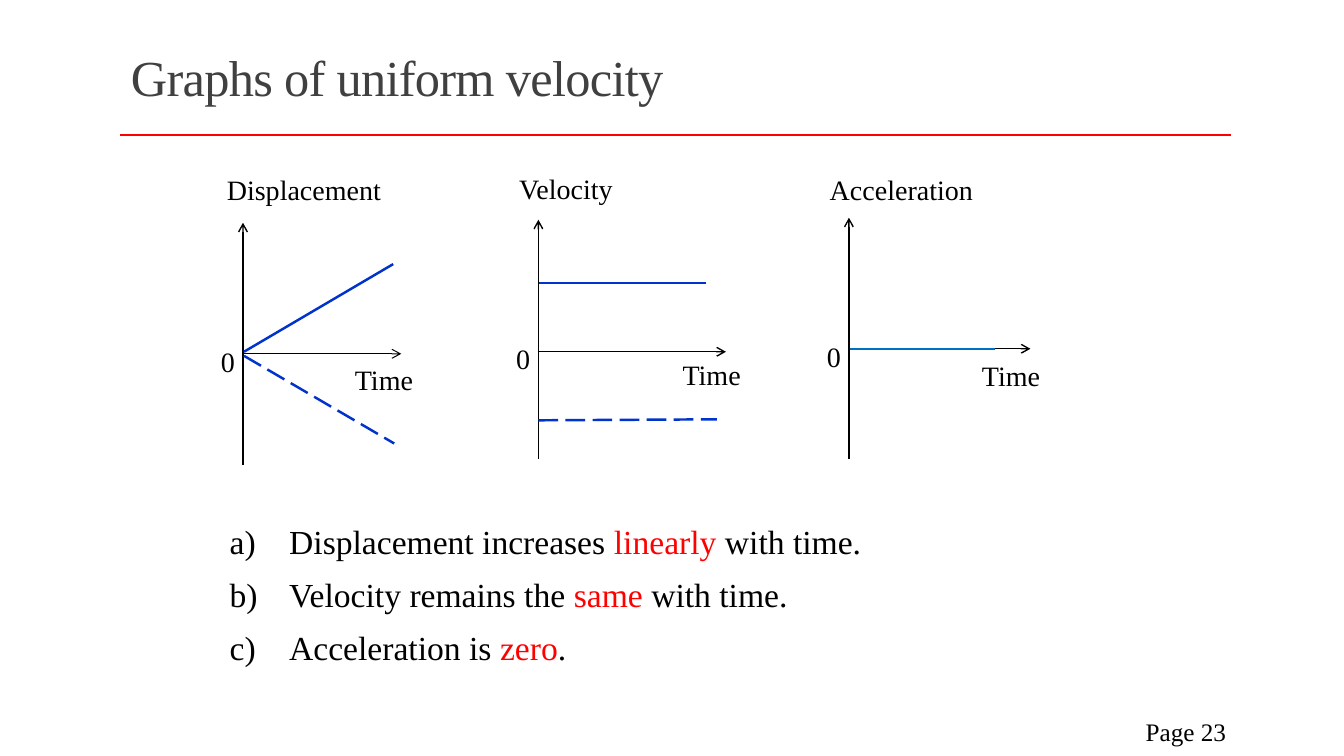
from pptx import Presentation
from pptx.dml.color import RGBColor
from pptx.enum import dml, shapes, text
from pptx.oxml.ns import qn
from pptx.util import Inches, Pt
from lxml import etree

BLACK = RGBColor(0x00, 0x00, 0x00)
WHITE = RGBColor(0xFF, 0xFF, 0xFF)
GREY = RGBColor(0x40, 0x40, 0x40)
RED = RGBColor(0xFF, 0x00, 0x00)
BLUE = RGBColor(0x00, 0x33, 0xCC)
LIGHT_BLUE = RGBColor(0x00, 0x70, 0xC0)
FONT = "Times New Roman"
HANGING = Inches(0.59)


def add_span(para, words, size, color=BLACK):
    span = para.add_run()
    span.text = words
    span.font.name = FONT
    span.font.size = Pt(size)
    span.font.color.rgb = color
    return span


def add_box(page, box, margin=None, anchor=text.MSO_ANCHOR.TOP):
    shape = page.shapes.add_textbox(*[Inches(length) for length in box])
    frame = shape.text_frame
    frame.word_wrap = True
    frame.vertical_anchor = anchor
    if margin is not None:
        frame.margin_left = frame.margin_right = Inches(margin)
        frame.margin_top = frame.margin_bottom = Inches(margin)
    return shape


def add_line(page, start, end, color=BLACK, width=1, dashed=False, arrow=False):
    line = page.shapes.add_connector(
        shapes.MSO_CONNECTOR.STRAIGHT, *[Inches(length) for length in (*start, *end)])
    line.line.color.rgb = color
    line.line.width = Pt(width)
    if dashed:
        line.line.dash_style = dml.MSO_LINE.LONG_DASH
    if arrow:
        etree.SubElement(line.line._get_or_add_ln(), qn("a:tailEnd"), type="arrow")
    etree.SubElement(line._element.spPr, qn("a:effectLst"))


def add_heading(page, box):
    left, top, width, height = box
    shape = add_box(page, box, anchor=text.MSO_ANCHOR.MIDDLE)
    para = shape.text_frame.paragraphs[0]
    para.line_spacing = 0.85
    span = add_span(para, "Graphs of uniform velocity", 36, GREY)
    span.font._element.set("spc", "-50")
    # Rule under the title
    rule = top + height + 0.05
    add_line(page, (left - 0.01, rule), (left + width + 0.01, rule), RED, 2)


def add_label(page, words, box, background=None):
    shape = add_box(page, box, margin=0.01)
    if background is not None:
        shape.fill.solid()
        shape.fill.fore_color.rgb = background
    add_span(shape.text_frame.paragraphs[0], words, 20)


def add_graph(page, box, quantity, rise, time_box, curves, name_offset, axis_width=1):
    """Axes fill the box; time_box and curves are measured from the origin."""
    left, top, width, height = box
    origin = top + 1.3

    # Labels
    x, y = name_offset
    add_label(page, quantity, (left - x, top - y, 2.06, 0.5))
    x, y, time_width, time_height = time_box
    add_label(page, "Time", (left + x, origin + y, time_width, time_height), WHITE)
    add_label(page, "0", (left - 0.23, origin - 0.1, 0.31, 0.29))

    # Axes
    add_line(page, (left, top + height), (left, top), arrow=True)
    add_line(page, (left, origin + rise), (left + width, origin + rise),
             width=axis_width, arrow=True)

    # Curves
    for (x1, y1), (x2, y2), color, dashed in curves:
        add_line(page, (left + x1, origin + y1), (left + x2, origin + y2),
                 color, 1.75, dashed)


def add_conclusions(page, box, conclusions):
    frame = add_box(page, box).text_frame
    for index, (before, key, after) in enumerate(conclusions):
        para = frame.paragraphs[0] if index == 0 else frame.add_paragraph()
        para.line_spacing = 1.1
        para.space_before = Pt(6 if index else 0)
        properties = para._p.get_or_add_pPr()
        properties.set("marL", str(HANGING))
        properties.set("indent", str(-HANGING))
        add_span(para, f"{'abc'[index]})\t{before}", 24)
        add_span(para, key, 24, RED)
        add_span(para, after, 24)


def add_page_number(page, box):
    shape = add_box(page, box, anchor=text.MSO_ANCHOR.MIDDLE)
    para = shape.text_frame.paragraphs[0]
    para.alignment = text.PP_ALIGN.RIGHT
    add_span(para, "Page 23", 18)


def main():
    deck = Presentation()
    deck.slide_width, deck.slide_height = Inches(13.33), Inches(7.5)
    page = deck.slides.add_slide(deck.slide_layouts[6])

    add_heading(page, (1.2, 0.31, 11, 0.98))
    add_graph(page, (2.41, 2.21, 1.57, 2.4), "Displacement", 0, (1.1, 0.08, 0.89, 0.41),
              [((0.01, -0.02), (1.49, -0.89), BLUE, False),
               ((0.01, 0.02), (1.5, 0.89), BLUE, True)],
              name_offset=(0.17, 0.51), axis_width=0.75)
    add_graph(page, (5.34, 2.18, 1.86, 2.37), "Velocity", 0.01, (1.42, 0.06, 0.75, 0.43),
              [((0.01, -0.67), (1.66, -0.67), BLUE, False),
               ((0, 0.69), (1.77, 0.68), BLUE, True)],
              name_offset=(0.2, 0.49))
    add_graph(page, (8.42, 2.16, 1.8, 2.39), "Acceleration", 0, (1.31, 0.09, 0.9, 0.62),
              [((0.01, 0), (1.45, 0), LIGHT_BLUE, False)],
              name_offset=(0.2, 0.46))
    add_conclusions(page, (2.18, 5.08, 8.17, 1.6), [
        ("Displacement increases ", "linearly", " with time."),
        ("Velocity remains the ", "same", " with time."),
        ("Acceleration is ", "zero", "."),
    ])
    add_page_number(page, (10.83, 7.06, 1.43, 0.4))

    deck.save("out.pptx")


if __name__ == "__main__":
    main()
